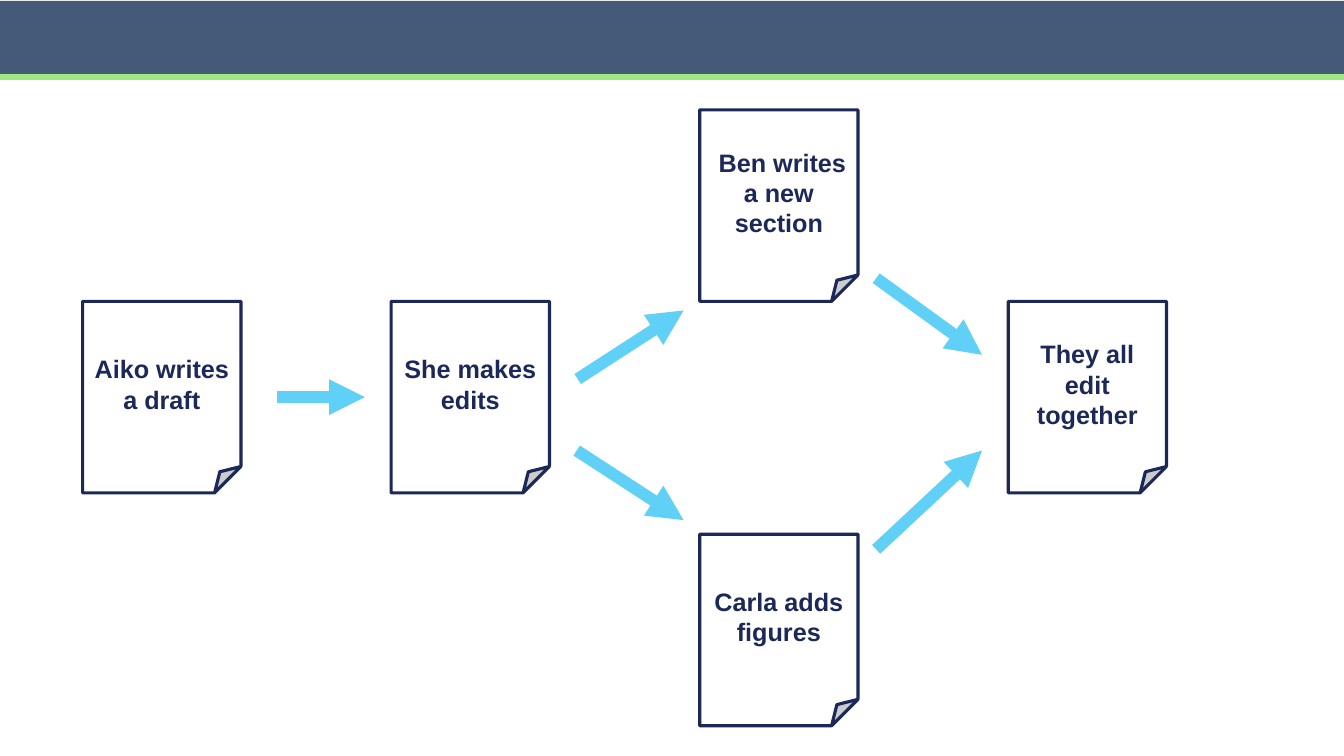
from lxml import etree
from pptx import Presentation
from pptx import util as u
from pptx.dml.color import RGBColor
from pptx.enum import shapes, text
from pptx.oxml.ns import qn

COLORS = {
    "band": "455A78",
    "stripe": "9FE880",
    "navy": "1C2857",
    "arrow": "60D0F6",
    "paper": "FFFFFF",
}


def color(name):
    return RGBColor.from_string(COLORS[name])


def add_filled(kind, left, top, width, height, fill, line=None, weight=1):
    shape = slide.shapes.add_shape(
        kind, u.Inches(left), u.Inches(top), u.Inches(width), u.Inches(height))
    shape.shadow.inherit = False
    shape.fill.solid()
    shape.fill.fore_color.rgb = color(fill)
    if line:
        shape.line.color.rgb = color(line)
        shape.line.width = u.Pt(weight)
    else:
        shape.line.fill.background()
    return shape


deck = Presentation()
deck.slide_width, deck.slide_height = u.Inches(13.33), u.Inches(7.5)
slide = deck.slides.add_slide(deck.slide_layouts[6])

# Header band and stripe
RECT = shapes.MSO_SHAPE.RECTANGLE
add_filled(RECT, 0, 0.01, 13.33, 0.74, "band")
add_filled(RECT, 0, 0.74, 13.33, 0.05, "stripe", "stripe")

# Document pages: column, top, wording
FIRST_LEFT, COLUMN_STEP = 0.82, 3.06
UPPER, MIDDLE, LOWER = 1.09, 2.99, 5.3
steps = [
    (0, MIDDLE, "Aiko writes a draft"),
    (1, MIDDLE, "She makes edits"),
    (2, UPPER, " Ben writes a new section"),
    (2, LOWER, "Carla adds figures"),
    (3, MIDDLE, "They all edit together"),
]
for column, top, wording in steps:
    page = add_filled(shapes.MSO_SHAPE.FOLDED_CORNER,
                      FIRST_LEFT + column * COLUMN_STEP, top, 1.57, 1.9,
                      "paper", "navy", 2.25)
    page.text_frame.word_wrap = True
    page.text_frame.vertical_anchor = text.MSO_ANCHOR.MIDDLE
    label = page.text_frame.paragraphs[0]
    label.text = wording
    label.alignment = text.PP_ALIGN.CENTER
    label.font.name = "Arial"
    label.font.size = u.Pt(18)
    label.font.bold = True
    label.font.color.rgb = color("navy")

# Arrows between the pages: start x, y, end x, y
flows = [
    (2.75, 3.94, 3.62, 3.94),
    (5.73, 3.76, 6.78, 3.08),
    (5.72, 4.47, 6.78, 5.16),
    (8.69, 2.76, 9.74, 3.52),
    (8.69, 5.45, 9.74, 4.47),
]
for flow in flows:
    arrow = slide.shapes.add_connector(
        shapes.MSO_CONNECTOR.STRAIGHT, *(u.Inches(value) for value in flow))
    arrow.line.color.rgb = color("arrow")
    arrow.line.width = u.Pt(8.5)
    etree.SubElement(arrow.line._get_or_add_ln(), qn("a:tailEnd"), type="triangle")
    etree.SubElement(arrow._element.spPr, qn("a:effectLst"))

deck.save("out.pptx")
